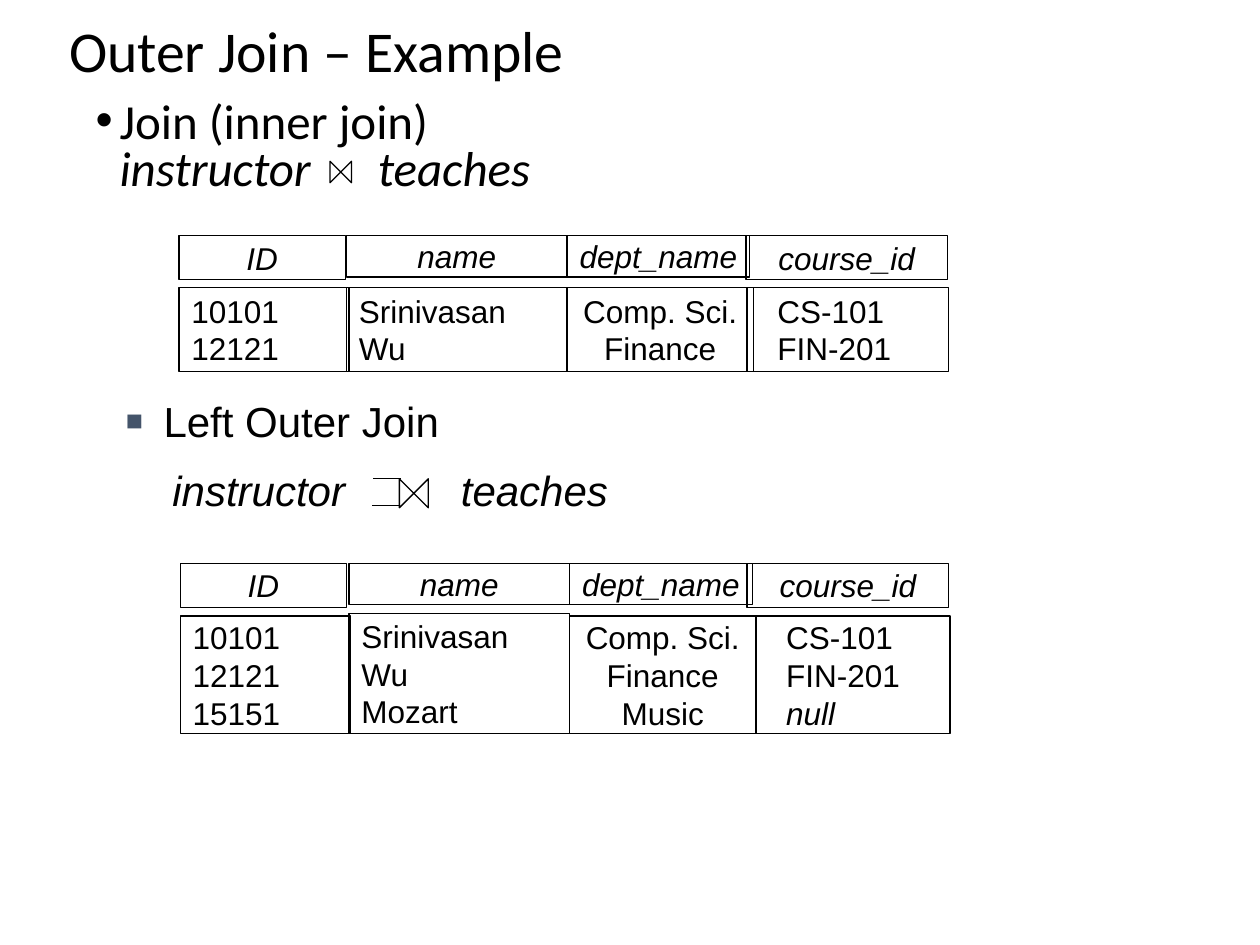
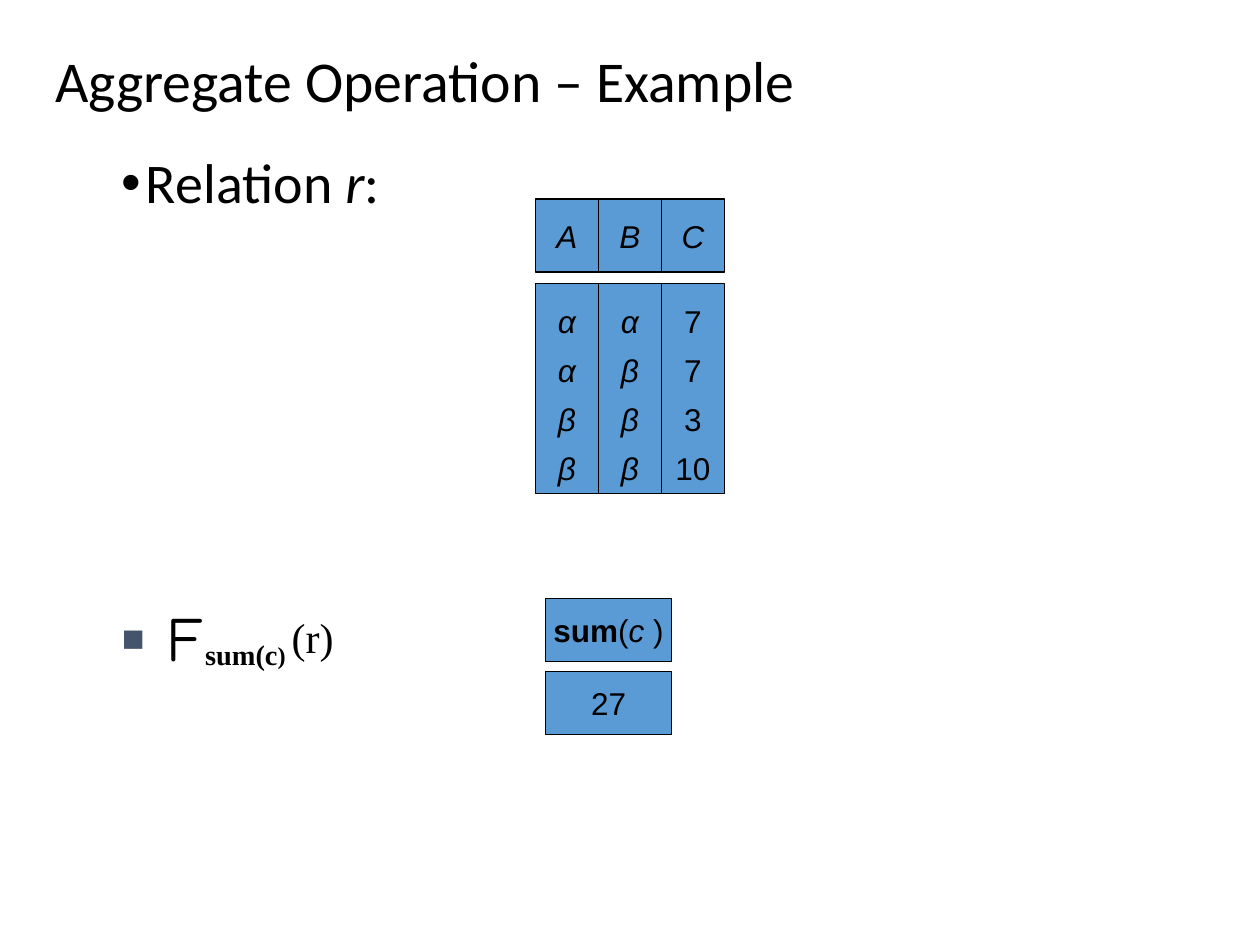
from dataclasses import dataclass

from lxml.etree import SubElement
from pptx import Presentation
from pptx.dml.color import RGBColor
from pptx.enum.shapes import MSO_CONNECTOR, MSO_SHAPE
from pptx.enum.text import MSO_ANCHOR, PP_ALIGN
from pptx.oxml.ns import qn
from pptx.util import Emu, Inches, Pt

COLUMNS, ROWS = 100, 75


@dataclass(frozen=True)
class Theme:
    width: int = Inches(10)
    height: int = Inches(7.5)
    ink: str = "000000"
    marker: str = "44546A"
    cell: str = "5B9BD5"
    heading: str = "Calibri"
    body: str = "Arial"
    formula: str = "Times New Roman"
    operator: str = "Comic Neue"
    title_size: int = 33
    relation_size: int = 32
    join_size: int = 28
    text_size: int = 24
    cell_size: int = 18
    operator_size: int = 36
    outline: float = 0.75


THEME = Theme()


@dataclass(frozen=True)
class Box:
    left: float
    top: float
    width: float
    height: float

    def inside(self, left, top, width, height):
        return Box(self.left + left, self.top + top, width, height)

    def emu(self):
        return (across(self.left), down(self.top),
                across(self.width), down(self.height))


def across(columns):
    return Emu(round(columns * THEME.width / COLUMNS))


def down(rows):
    return Emu(round(rows * THEME.height / ROWS))


def apply(target, formats):
    for name, value in formats.items():
        setattr(target, name, value)


def font_of(name, size, **extra):
    return {"name": name, "size": Pt(size), **extra}


CELL_FONT = font_of(THEME.body, THEME.cell_size)
BODY_FONT = font_of(THEME.body, THEME.text_size)
JOIN_FONT = font_of(THEME.heading, THEME.join_size)


def write(paragraph, runs, **formats):
    apply(paragraph, formats)
    for text, font, *baseline in runs:
        run = paragraph.add_run()
        run.text = text
        apply(run.font, font)
        run.font.color.rgb = RGBColor.from_string(THEME.ink)
        for offset in baseline:
            run.font._element.set("baseline", str(offset * 1000))


def add_bullet(paragraph, char, colour, percent, hang):
    properties = paragraph._p.get_or_add_pPr()
    for name, sign in (("marL", 1), ("indent", -1)):
        properties.set(name, str(sign * across(hang)))
    tint = SubElement(properties, qn("a:buClr"))
    SubElement(tint, qn("a:srgbClr"), val=colour)
    SubElement(properties, qn("a:buSzPct"), val=str(percent * 1000))
    SubElement(properties, qn("a:buFont"), typeface=THEME.body)
    SubElement(properties, qn("a:buChar"), char=char)


def add_tabs(paragraph, stops):
    tabs = SubElement(paragraph._p.get_or_add_pPr(), qn("a:tabLst"))
    for stop in stops:
        SubElement(tabs, qn("a:tab"), pos=str(across(stop)), algn="l")


def add_text(slide, box, **formats):
    frame = slide.shapes.add_textbox(*box.emu()).text_frame
    apply(frame, {"word_wrap": True, **formats})
    return frame


def add_title(slide, box, text):
    frame = add_text(slide, box, vertical_anchor=MSO_ANCHOR.MIDDLE)
    write(frame.paragraphs[0],
          [(text, font_of(THEME.heading, THEME.title_size))], line_spacing=0.9)


def add_outlined(shapes, kind, box, fill=None):
    shape = shapes.add_shape(kind, *box.emu())
    shape.shadow.inherit = False
    if fill:
        shape.fill.solid()
        shape.fill.fore_color.rgb = RGBColor.from_string(fill)
    else:
        shape.fill.background()
    draw_outline(shape)
    return shape


def draw_outline(shape):
    shape.line.width = Pt(THEME.outline)
    shape.line.color.rgb = RGBColor.from_string(THEME.ink)


def add_cell(shapes, box, lines, fill=None, indent=1, **formats):
    frame = add_outlined(shapes, MSO_SHAPE.RECTANGLE, box, fill).text_frame
    apply(frame, {"word_wrap": False, "vertical_anchor": MSO_ANCHOR.MIDDLE,
                  "margin_left": across(indent)})
    for index, runs in enumerate(lines):
        paragraph = frame.add_paragraph() if index else frame.paragraphs[0]
        write(paragraph, runs, **{"alignment": PP_ALIGN.CENTER, **formats})


def cell_lines(values, italic=False):
    return [[(value, {**CELL_FONT, "italic": italic or value == "null"})]
            for value in values]


def add_bowtie(shapes, box):
    add_outlined(shapes, MSO_SHAPE.FLOWCHART_COLLATE, box).rotation = 270


def add_outer_mark(slide, box):
    shapes = slide.shapes.add_group_shape().shapes
    add_bowtie(shapes, box.inside(2.2, 0, box.height, box.height))
    for start, row in ((2.3, 0), (2.2, 2.1)):
        y = down(box.top + row)
        bar = shapes.add_connector(MSO_CONNECTOR.STRAIGHT,
                                   across(box.left + start), y,
                                   across(box.left + start - 2.2), y)
        draw_outline(bar)
        SubElement(bar._element.spPr, qn("a:effectLst"))


HEADERS = (("ID", 13.2, 3.5), ("name", 17.5, 3.3),
           ("dept_name", 14.5, 3.3), ("course_id", 16, 3.5))
COLUMN_FORMATS = ((PP_ALIGN.LEFT, 1), (PP_ALIGN.LEFT, 1),
                  (PP_ALIGN.CENTER, 1), (PP_ALIGN.LEFT, 2.4))


def add_join_result(slide, box, header_lefts, bodies, records):
    shapes = slide.shapes.add_group_shape().shapes
    for (name, width, height), left in zip(HEADERS, header_lefts):
        add_cell(shapes, box.inside(left, 0, width, height),
                 cell_lines([name], italic=True))
    for place, values, (alignment, indent) in zip(
            bodies, zip(*records), COLUMN_FORMATS):
        left, top, width = place
        add_cell(shapes, box.inside(left, top, width, box.height - top),
                 cell_lines(values), indent=indent, alignment=alignment)


def add_inner_join(slide, box):
    name, formula = add_text(slide, box), {**JOIN_FONT, "italic": True}
    heading = name.paragraphs[0]
    write(heading, [("Join (inner join)", JOIN_FONT)],
          line_spacing=0.8, space_before=Pt(7.5))
    add_bullet(heading, "•", THEME.ink, 100, 1.9)
    operands = name.add_paragraph()
    write(operands, [("\tinstructor\tteaches", formula)], line_spacing=0.8)
    add_tabs(operands, (1.9, 22.4))
    add_bowtie(slide.shapes, box.inside(19.6, 5.2, 1.7, 1.7))


def add_left_join(slide, box):
    name = add_text(slide, box)
    heading = name.paragraphs[0]
    write(heading, [("Left Outer Join", BODY_FONT)], space_before=Pt(10.5))
    add_bullet(heading, "■", THEME.marker, 68, 3)
    operands = name.add_paragraph()
    write(operands, [("\tinstructor\tteaches", {**BODY_FONT, "italic": True})],
          space_before=Pt(10.5))
    add_tabs(operands, (3.7, 26.6))
    add_outer_mark(slide, box.inside(20.5, 7.1, 4.5, 2.3))


def build_outer_join(slide):
    matches = [("10101", "Srinivasan", "Comp. Sci.", "CS-101"),
               ("12121", "Wu", "Finance", "FIN-201")]
    unmatched = ("15151", "Mozart", "Music", "null")
    add_left_join(slide, Box(9, 30.9, 46.3, 10.5))
    add_title(slide, Box(4.5, 0.2, 86.2, 8.2), "Outer Join – Example")
    add_inner_join(slide, Box(6.6, 7.6, 76.5, 9.2))
    add_join_result(slide, Box(14.2, 18.7, 61.1, 10.8), (0, 13.3, 30.8, 45),
                    ((0, 4.1, 13.5), (13.3, 4.1, 17.5),
                     (30.8, 4.1, 14.8), (45.1, 4.1, 16)), matches)
    add_join_result(slide, Box(14.3, 44.7, 61.1, 13.5), (0, 13.4, 30.9, 45),
                    ((0, 4.2, 13.5), (13.4, 4, 17.5),
                     (30.9, 4.2, 14.8), (45.7, 4.2, 15.4)),
                    matches + [unmatched])


def add_relation(slide, box, names, records):
    width = box.width / len(names)
    for index, (name, values) in enumerate(zip(names, zip(*records))):
        left = index * width
        add_cell(slide.shapes, box.inside(left, 0, width, 5.8),
                 cell_lines([name], italic=True), THEME.cell)
        add_cell(slide.shapes, box.inside(left, 6.7, width, box.height - 6.7),
                 cell_lines(values, italic=name != "C"), THEME.cell,
                 line_spacing=1.3)


def add_relation_label(slide, box):
    label = add_text(slide, box).paragraphs[0]
    font = font_of(THEME.heading, THEME.relation_size)
    write(label, [("Relation ", font), ("r", {**font, "italic": True}),
                  (":", font)], line_spacing=0.9, space_before=Pt(7.5))
    add_bullet(label, "•", THEME.ink, 100, 1.9)


def add_aggregate_formula(slide, box):
    formula = add_text(slide, box).paragraphs[0]
    wide = font_of(THEME.formula, THEME.join_size, bold=True)
    small = font_of(THEME.formula, THEME.text_size)
    write(formula, [("sum(c", wide, -25), (") ", {**small, "bold": True}, -25),
                    ("(r)", small)], space_before=Pt(10.5))
    add_bullet(formula, "■", THEME.marker, 77, 6.6)
    operator = add_text(slide, box.inside(3.5, -0.5, 4.9, 7))
    write(operator.paragraphs[0],
          [("F", font_of(THEME.operator, THEME.operator_size))])


def add_sum_result(slide, box):
    heading = [("sum", {**CELL_FONT, "bold": True}), ("(", CELL_FONT),
               ("c ", {**CELL_FONT, "italic": True}), (")", CELL_FONT)]
    for row, lines in ((0, [heading]), (5.8, cell_lines(["27"]))):
        add_cell(slide.shapes, box.inside(0, row, box.width, 5),
                 lines, THEME.cell)


def build_aggregate(slide):
    add_title(slide, Box(3.4, -0.6, 86.3, 14.5),
              "Aggregate Operation – Example")
    add_relation_label(slide, Box(8.7, 11.8, 24.7, 6.3))
    add_relation(slide, Box(42.5, 15.8, 15, 23.4), "ABC",
                 [("α", "α", "7"), ("α", "β", "7"),
                  ("β", "β", "3"), ("β", "β", "10")])
    add_aggregate_formula(slide, Box(8.7, 47.5, 22, 6.1))
    add_sum_result(slide, Box(43.3, 47.5, 10, 10.8))


def main():
    deck = Presentation()
    apply(deck, {"slide_width": THEME.width, "slide_height": THEME.height})
    for build in (build_outer_join, build_aggregate):
        build(deck.slides.add_slide(deck.slide_layouts[6]))
    deck.save("out.pptx")


if __name__ == "__main__":
    main()
